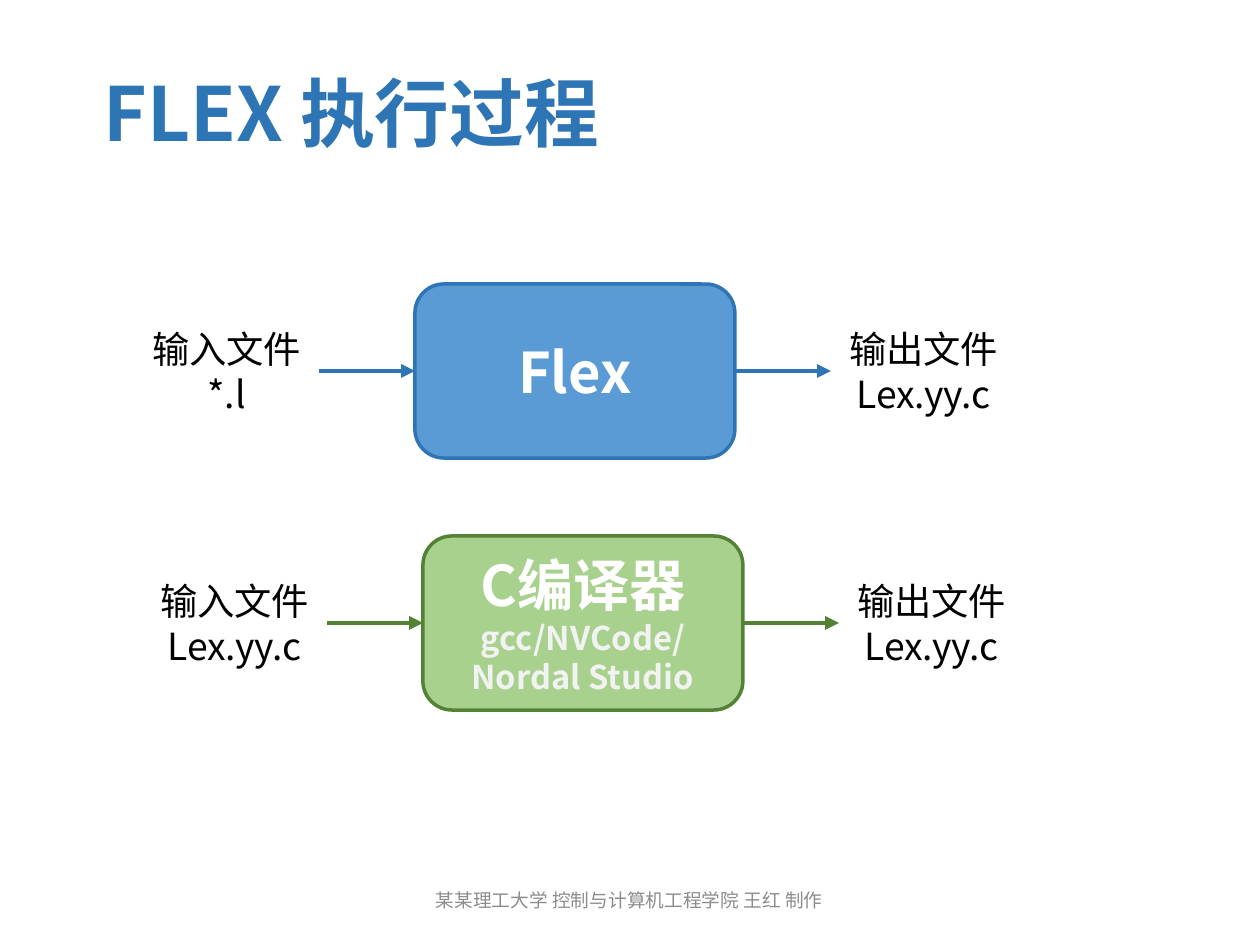
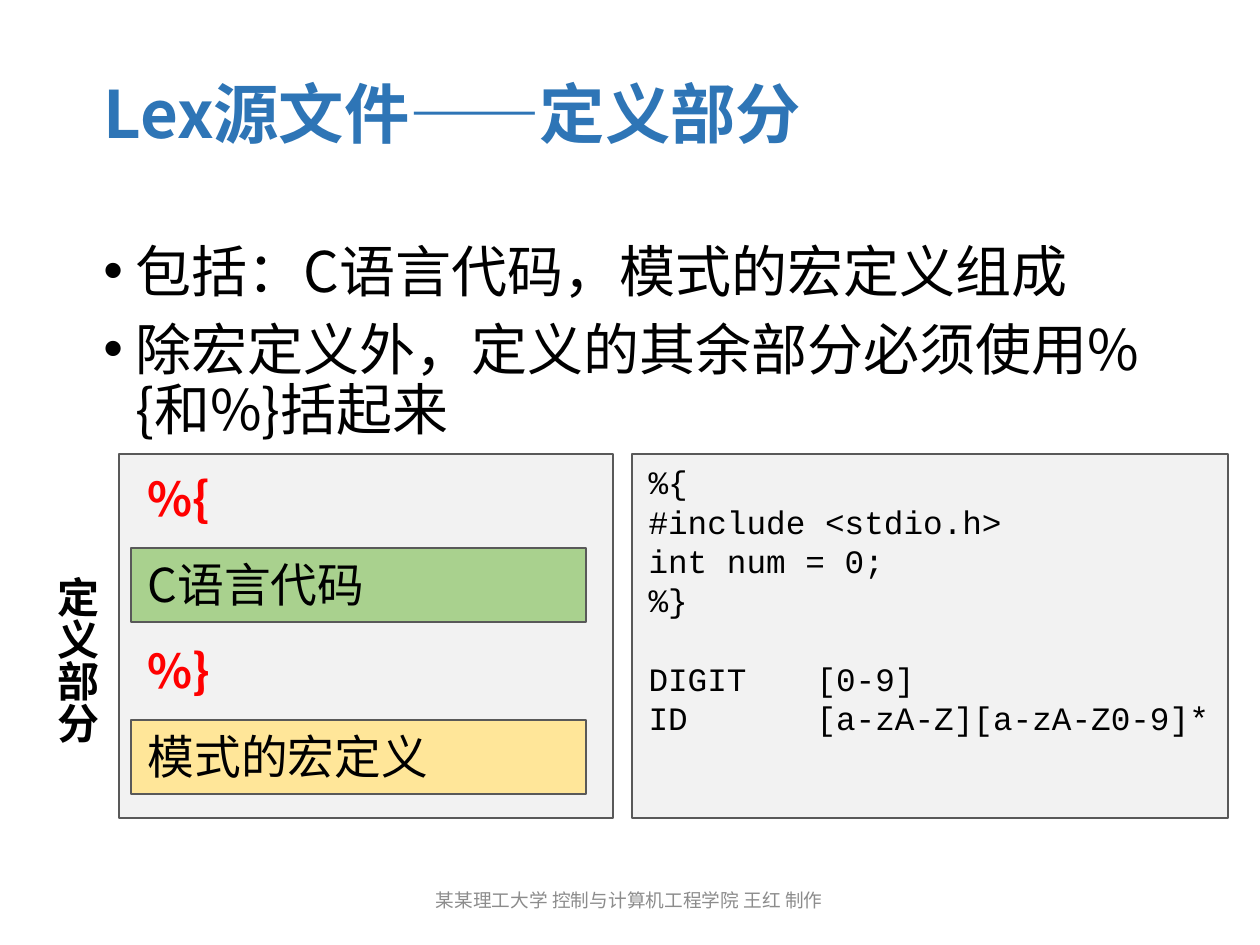
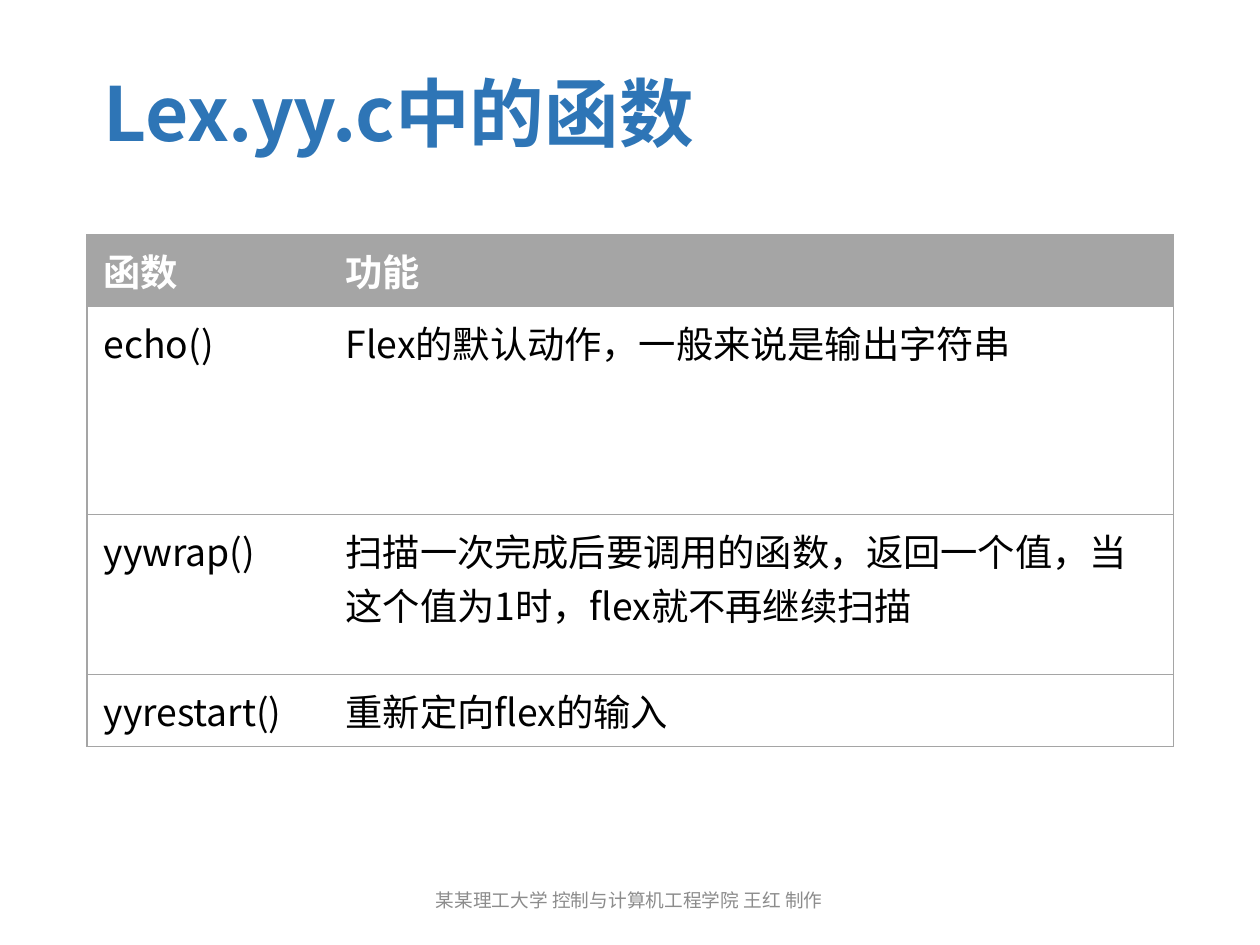
from dataclasses import dataclass

from lxml import etree
from pptx import Presentation
from pptx import util as u
from pptx.dml.color import RGBColor
from pptx.enum import shapes, text
from pptx.oxml import ns

# Scale and shared style
PX = 914400 / 168
SANS, MONO, HEAD = "Noto Sans CJK SC", "Courier New", "Calibri"
BLUE = RGBColor(0x2E, 0x75, 0xB6)
SKY = RGBColor(0x5B, 0x9B, 0xD5)
GREEN = RGBColor(0xA9, 0xD1, 0x8E)
MOSS = RGBColor(0x54, 0x82, 0x35)
SAND = RGBColor(0xFF, 0xE6, 0x99)
RED = RGBColor(0xFF, 0x00, 0x00)
PALE = RGBColor(0xF2, 0xF2, 0xF2)
DARK = RGBColor(0x59, 0x59, 0x59)
DIM = RGBColor(0x8C, 0x8C, 0x8C)
GRAY = RGBColor(0xA5, 0xA5, 0xA5)
BLACK = RGBColor(0, 0, 0)
WHITE = RGBColor(255, 255, 255)

LEFT, MID = text.PP_ALIGN.LEFT, text.PP_ALIGN.CENTER
TOP, CENTER = text.MSO_ANCHOR.TOP, text.MSO_ANCHOR.MIDDLE
RECT, ROUND = shapes.MSO_SHAPE.RECTANGLE, shapes.MSO_SHAPE.ROUNDED_RECTANGLE
FOOTER = "某某理工大学 控制与计算机工程学院 王红 制作"


@dataclass(frozen=True)
class Box:
    x: int
    y: int
    w: int
    h: int

    def emu(self) -> list[int]:
        return [px(n) for n in (self.x, self.y, self.w, self.h)]


@dataclass(frozen=True)
class Para:
    text: str
    size: int
    color: RGBColor = BLACK
    bold: bool = False
    font: str = SANS
    lead: float = 1.2  # line height in ems, 0 for natural
    before: float = 0
    bullet: bool = False
    tab: int = 0


@dataclass(frozen=True)
class Stage:
    x: int
    y: int
    fill: RGBColor
    line: RGBColor
    core: list[Para]
    source: str
    result: str


def px(n: int) -> int:
    return round(n * PX)


def sub(node, tag: str, **attrs: str):
    return etree.SubElement(node, ns.qn(tag), attrs)


# Text
def write(frame, paras: list[Para], align=LEFT) -> None:
    for i, item in enumerate(paras):
        para = frame.add_paragraph() if i else frame.paragraphs[0]
        para.alignment = align
        para.space_before = u.Pt(item.before)
        if item.lead:
            para.line_spacing = u.Pt(round(item.size * item.lead, 2))
        props = para._p.get_or_add_pPr()
        if item.bullet:
            props.set("marL", str(px(32)))
            props.set("indent", str(px(-32)))
            sub(props, "a:buFont", typeface="Arial")
            sub(props, "a:buChar", char="•")
        if item.tab:
            sub(sub(props, "a:tabLst"), "a:tab", pos=str(px(item.tab)), algn="l")
        run = para.add_run()
        run.text = item.text
        font = run.font
        font.size, font.bold, font.name = u.Pt(item.size), item.bold, item.font
        font.color.rgb = item.color
        sub(run._r.get_or_add_rPr(), "a:ea", typeface=SANS)


def label(slide, box: Box, paras: list[Para], align=LEFT, anchor=TOP, wrap=True):
    shape = slide.shapes.add_textbox(*box.emu())
    frame = shape.text_frame
    frame.word_wrap, frame.vertical_anchor = wrap, anchor
    write(frame, paras, align)
    return shape


# Shapes and arrows
def panel(slide, kind, box: Box, fill: RGBColor, line: RGBColor, width: float,
          paras: list[Para], align=LEFT, anchor=TOP):
    shape = slide.shapes.add_shape(kind, *box.emu())
    shape.shadow.inherit = False
    shape.fill.solid()
    shape.fill.fore_color.rgb = fill
    shape.line.color.rgb, shape.line.width = line, u.Pt(width)
    shape.text_frame.word_wrap = True
    shape.text_frame.vertical_anchor = anchor
    write(shape.text_frame, paras, align)
    return shape


def arrow(slide, start, end, color: RGBColor) -> None:
    link = slide.shapes.add_connector(shapes.MSO_CONNECTOR.STRAIGHT, 0, 0, 0, 0)
    link.begin_connect(start, 3)
    link.end_connect(end, 1)
    link.line.color.rgb, link.line.width = color, u.Pt(1.5)
    sub(link.line._get_or_add_ln(), "a:tailEnd", type="triangle")
    sub(link._element.spPr, "a:effectLst")


def page(deck, title: str, size: int):
    slide = deck.slides.add_slide(deck.slide_layouts[6])
    label(slide, Box(87, 50, 1092, 133),
          [Para(title, size, BLUE, True, lead=1.08)], anchor=CENTER)
    label(slide, Box(417, 875, 425, 50), [Para(FOOTER, 8, DIM)], MID, CENTER)
    return slide


# Slide 1: two stages, each input, tool, output
def flow(slide, stage: Stage) -> None:
    core = panel(slide, ROUND, Box(stage.x, stage.y, 320, 174), stage.fill,
                 stage.line, 1.5, stage.core, MID, CENTER)
    ends = [label(slide, Box(stage.x + dx, stage.y + 33, 185, 108),
                  [Para(head, 16), Para(name, 16)], MID, CENTER, False)
            for dx, head, name in ((-281, "输入文件", stage.source),
                                   (416, "输出文件", stage.result))]
    arrow(slide, ends[0], core, stage.line)
    arrow(slide, core, ends[1], stage.line)


def steps(deck) -> None:
    slide = page(deck, "FLEX 执行过程", 32)
    flow(slide, Stage(415, 284, SKY, BLUE, [Para("Flex", 24, WHITE, True)],
                      "*.l", "Lex.yy.c"))
    flow(slide, Stage(423, 536, GREEN, MOSS,
                      [Para("C编译器", 24, WHITE, True),
                       Para("gcc/NVCode/Nordal Studio", 14, PALE, True)],
                      "Lex.yy.c", "Lex.yy.c"))


# Slide 2: parts of the definition section beside sample code
def parts(deck) -> None:
    slide = page(deck, "Lex源文件——定义部分", 28)
    label(slide, Box(87, 235, 1087, 210), [
        Para(line, 24, lead=1.08, before=7.5, bullet=True)
        for line in ("包括：C语言代码，模式的宏定义组成",
                     "除宏定义外，定义的其余部分必须使用%{和%}括起来")])
    frame = Box(119, 454, 494, 364)
    panel(slide, RECT, frame, PALE, DARK, 0.75, [])
    rows = (("%{", None), ("C语言代码", GREEN), ("%}", None), ("模式的宏定义", SAND))
    for i, (name, fill) in enumerate(rows):
        box = Box(131, 462 + 86 * i, 455, 74)
        if fill:
            panel(slide, RECT, box, fill, DARK, 0.75, [Para(name, 20)])
        else:
            label(slide, box, [Para(name, 20, RED, True)])
    side = label(slide, Box(27, 560, 84, 232), [Para("定义部分", 18, bold=True)])
    side.text_frame._txBody.bodyPr.set("vert", "eaVert")
    code = [Para(line, 14, font=MONO)
            for line in ("%{", "#include <stdio.h>", "int num = 0;", "%}")]
    code += [Para(line, 14, font=MONO, before=gap, tab=168)
             for line, gap in (("DIGIT\t[0-9]", 16.8),
                               ("ID\t[a-zA-Z][a-zA-Z0-9]*", 0))]
    panel(slide, RECT, Box(632, 454, 596, 364), PALE, DARK, 0.75, code)


# Slide 3: table of functions
def edge(cell, sides: str) -> None:
    props = cell._tc.get_or_add_tcPr()
    for i, side in enumerate("LRTB"):
        line = etree.Element(ns.qn(f"a:ln{side}"), w=str(u.Pt(0.5)))
        if side in sides:
            sub(sub(line, "a:solidFill"), "a:srgbClr", val=str(GRAY))
        else:
            sub(line, "a:noFill")
        props.insert(i, line)


def table(deck) -> None:
    slide = page(deck, "Lex.yy.c中的函数", 32)
    rows = (("函数", "功能", 72),
            ("echo()", "Flex的默认动作，一般来说是输出字符串", 208),
            ("yywrap()", "扫描一次完成后要调用的函数，返回一个值，"
             "当这个值为1时，flex就不再继续扫描", 160),
            ("yyrestart()", "重新定向flex的输入", 72))
    tall = sum(row[-1] for row in rows)
    grid = slide.shapes.add_table(len(rows), 2, *Box(87, 235, 1087, tall).emu()).table
    grid.horz_banding = False
    for col, width in zip(grid.columns, (242, 845)):
        col.width = px(width)
    for i, (*names, height) in enumerate(rows):
        grid.rows[i].height = px(height)
        for j, name in enumerate(names):
            cell = grid.cell(i, j)
            cell.fill.solid()
            cell.fill.fore_color.rgb = WHITE if i else GRAY
            para = (Para(name, 16, lead=0) if i
                    else Para(name, 16, WHITE, True, HEAD, 0))
            write(cell.text_frame, [para])
            edge(cell, "RTB" if j else "LTB")


def main() -> None:
    deck = Presentation()
    deck.slide_width, deck.slide_height = px(1260), px(945)
    for build in (steps, parts, table):
        build(deck)
    deck.save("out.pptx")


if __name__ == "__main__":
    main()
